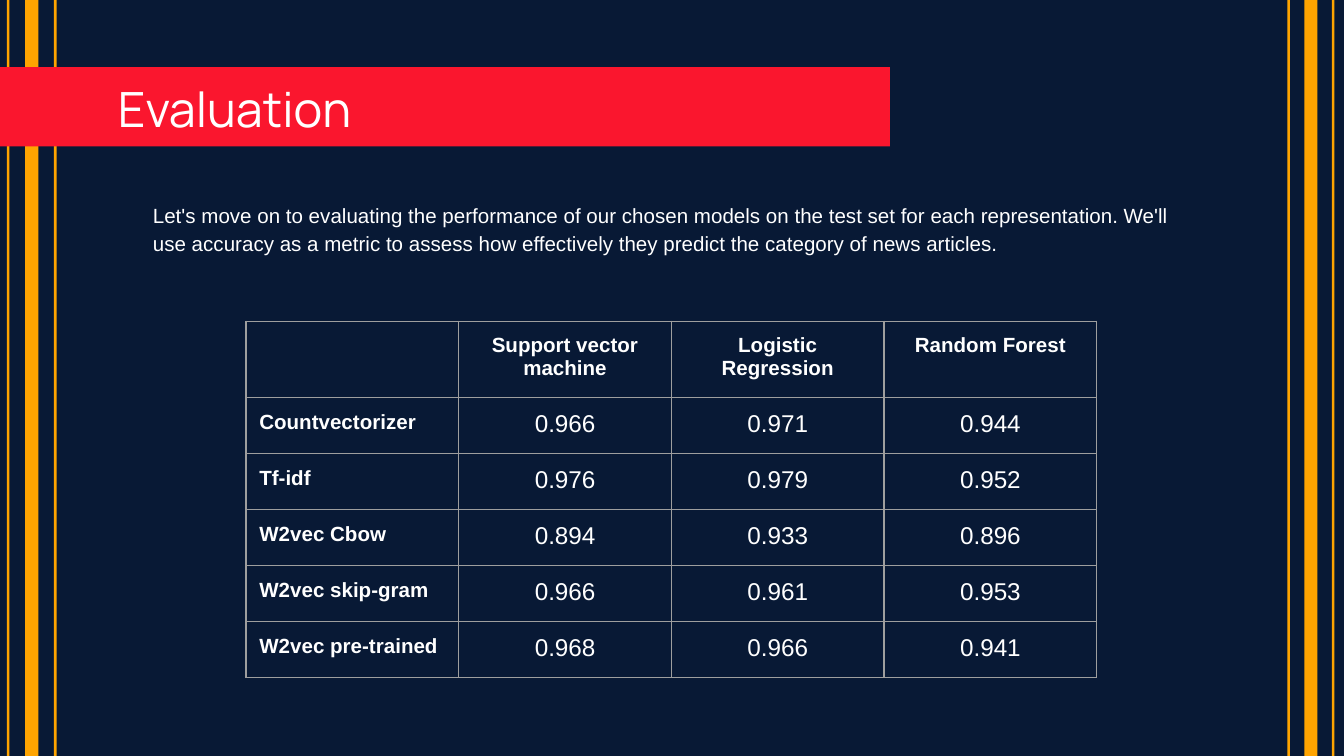
from dataclasses import dataclass

from lxml import etree
from pptx import Presentation
from pptx.dml.color import RGBColor
from pptx.enum import shapes, text
from pptx.oxml import ns
from pptx.util import Cm, Pt


@dataclass(frozen=True)
class Theme:
    navy: str = "081935"
    amber: str = "FFA400"
    red: str = "FA162E"
    white: str = "FFFFFF"
    grid: str = "9E9E9E"
    heading_font: str = "Manrope"
    body_font: str = "Arial"
    heading_size: float = 26
    body_size: float = 11
    score_size: float = 13
    grid_width: float = 0.75


THEME = Theme()
SLIDE_WIDTH, SLIDE_HEIGHT = 25.4, 14.29
INSET = 0.25
MODELS = ["Support vector machine", "Logistic Regression", "Random Forest"]
SCORES = {
    "Countvectorizer": ["0.966", "0.971", "0.944"],
    "Tf-idf": ["0.976", "0.979", "0.952"],
    "W2vec Cbow": ["0.894", "0.933", "0.896"],
    "W2vec skip-gram": ["0.966", "0.961", "0.953"],
    "W2vec pre-trained": ["0.968", "0.966", "0.941"],
}


def write(frame, words, *, font=THEME.body_font, size=THEME.body_size, bold=False,
          align=text.PP_ALIGN.LEFT, spacing=1.0):
    paragraph = frame.paragraphs[0]
    paragraph.alignment = align
    paragraph.line_spacing = spacing
    run = paragraph.add_run()
    run.text = words
    run.font.name = font
    run.font.size = Pt(size)
    run.font.bold = bold
    run.font.color.rgb = RGBColor.from_string(THEME.white)


def set_insets(holder):
    """Give a text frame or a table cell the same margin on every side."""
    holder.margin_left = holder.margin_right = Cm(INSET)
    holder.margin_top = holder.margin_bottom = Cm(INSET)


def add_bar(slide, left, top, width, height, color):
    bar = slide.shapes.add_shape(shapes.MSO_SHAPE.RECTANGLE,
                                 Cm(left), Cm(top), Cm(width), Cm(height))
    bar.shadow.inherit = False
    bar.fill.solid()
    bar.fill.fore_color.rgb = RGBColor.from_string(color)
    bar.line.fill.background()


def add_text_frame(slide, left, top, width, height):
    frame = slide.shapes.add_textbox(Cm(left), Cm(top), Cm(width), Cm(height)).text_frame
    frame.word_wrap = True
    set_insets(frame)
    return frame


def add_stripes(slide, left, top, width, height):
    """Draw a thick bar centred between two thin ones."""
    thin, thick = 0.05, 0.25
    for offset, bar_width in ((0, thin), ((width - thick) / 2, thick), (width - thin, thin)):
        add_bar(slide, left + offset, top, bar_width, height, THEME.amber)


def add_heading(slide, left, top, width, height):
    add_bar(slide, left, top, width, height, THEME.red)
    frame = add_text_frame(slide, left + 1.98, top - 0.03, 7.09, height + 0.1)
    frame.vertical_anchor = text.MSO_ANCHOR.MIDDLE
    write(frame, "Evaluation", font=THEME.heading_font, size=THEME.heading_size)


def add_introduction(slide, left, top, width, height):
    write(add_text_frame(slide, left, top, width, height),
          "Let's move on to evaluating the performance of our chosen models on the test set "
          "for each representation. We'll use accuracy as a metric to assess how effectively "
          "they predict the category of news articles.", spacing=1.15)


def style_cell(cell):
    """Outline a cell on all sides and leave it unfilled."""
    properties = cell._tc.get_or_add_tcPr()
    for side in ("a:lnL", "a:lnR", "a:lnT", "a:lnB"):
        border = etree.SubElement(properties, ns.qn(side), w=str(Pt(THEME.grid_width)))
        fill = etree.SubElement(border, ns.qn("a:solidFill"))
        etree.SubElement(fill, ns.qn("a:srgbClr"), val=THEME.grid)
    cell.fill.background()
    set_insets(cell)


def add_scores(slide, left, top, width, height):
    rows = [["", *MODELS]] + [[name, *scores] for name, scores in SCORES.items()]
    table = slide.shapes.add_table(len(rows), len(rows[0]), Cm(left), Cm(top),
                                   Cm(width), Cm(height)).table
    table.first_row = table.horz_banding = False
    header_height = 1.44
    row_height = (height - header_height) / len(SCORES)
    for column in table.columns:
        column.width = Cm(width / len(rows[0]))
    for r, row in enumerate(rows):
        table.rows[r].height = Cm(row_height if r else header_height)
        for c, words in enumerate(row):
            cell = table.cell(r, c)
            style_cell(cell)
            if words:
                is_label = r == 0 or c == 0
                write(cell.text_frame, words, bold=is_label,
                      size=THEME.body_size if is_label else THEME.score_size,
                      align=text.PP_ALIGN.CENTER if c else text.PP_ALIGN.LEFT)


def main():
    deck = Presentation()
    deck.slide_width, deck.slide_height = Cm(SLIDE_WIDTH), Cm(SLIDE_HEIGHT)
    slide = deck.slides.add_slide(deck.slide_layouts[6])
    slide.background.fill.solid()
    slide.background.fill.fore_color.rgb = RGBColor.from_string(THEME.navy)

    add_stripes(slide, 0.13, 0, 0.94, SLIDE_HEIGHT)
    add_stripes(slide, 24.33, 0, 0.89, SLIDE_HEIGHT)
    add_heading(slide, 0, 1.27, 16.82, 1.5)
    add_introduction(slide, 2.64, 3.51, 20.12, 1.52)
    add_scores(slide, 4.65, 6.07, 16.08, 6.74)
    deck.save("out.pptx")


if __name__ == "__main__":
    main()
